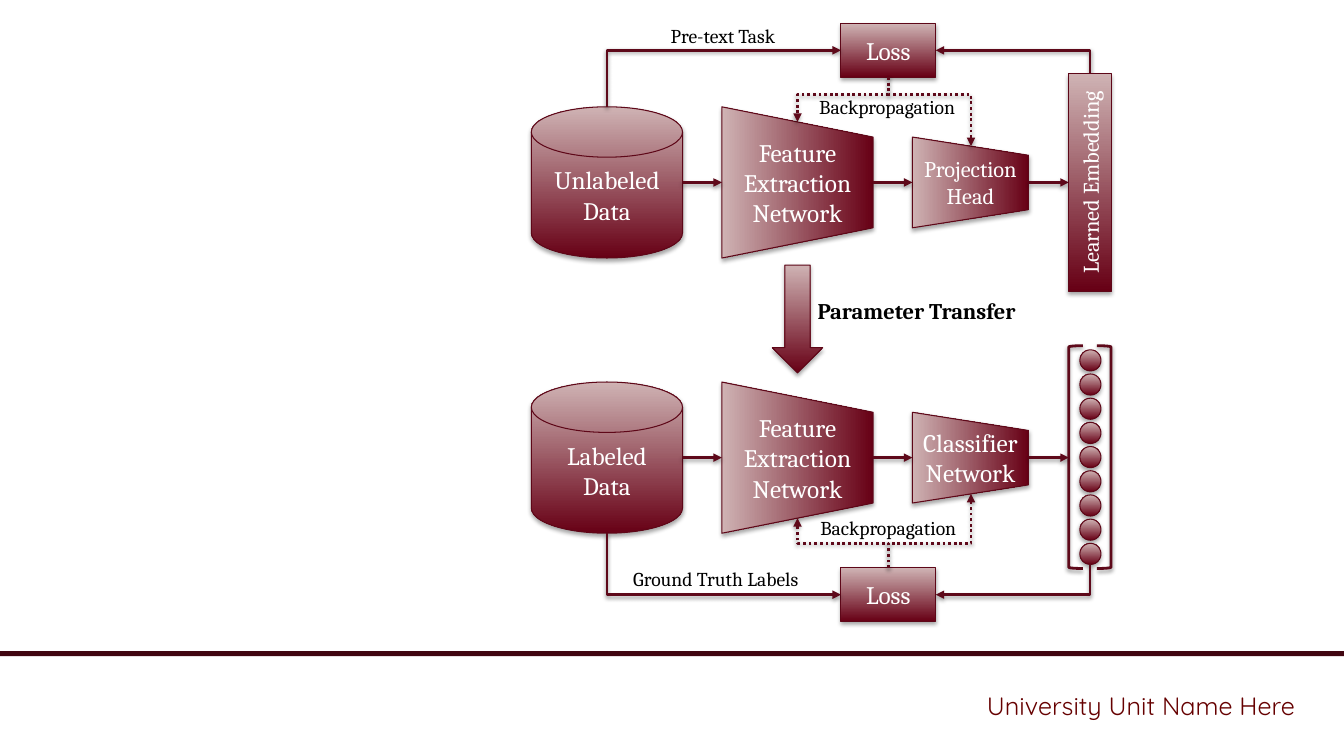
from dataclasses import dataclass

from lxml import etree
from pptx import Presentation
from pptx.dml.color import RGBColor
from pptx.enum.dml import MSO_LINE
from pptx.enum.shapes import MSO_CONNECTOR, MSO_SHAPE
from pptx.enum.text import MSO_ANCHOR, PP_ALIGN
from pptx.oxml.ns import qn
from pptx.util import Inches, Pt

RECT, DISK, OVAL = MSO_SHAPE.RECTANGLE, MSO_SHAPE.FLOWCHART_MAGNETIC_DISK, MSO_SHAPE.OVAL
TAPER, ARROW = MSO_SHAPE.FLOWCHART_MANUAL_OPERATION, MSO_SHAPE.DOWN_ARROW
BRACKET = MSO_SHAPE.LEFT_BRACKET
STRAIGHT, ELBOW = MSO_CONNECTOR.STRAIGHT, MSO_CONNECTOR.ELBOW
DOTS = MSO_LINE.ROUND_DOT
LEFT, CENTER, RIGHT = PP_ALIGN.LEFT, PP_ALIGN.CENTER, PP_ALIGN.RIGHT
MIDDLE = MSO_ANCHOR.MIDDLE


@dataclass(frozen=True)
class Theme:
    """Colours, fonts and type sizes of the slide."""
    dark: str = "670015"
    light: str = "CFB3B4"
    edge: str = "5E0718"
    wire: str = "5E091A"
    bar: str = "410611"
    unit: str = "660000"
    white: str = "FFFFFF"
    black: str = "000000"
    body: str = "Cambria"
    foot: str = "Quicksand"
    big: int = 18
    mid: int = 16
    small: int = 14


T = Theme()


def tint(code):
    """Turn a hex code into a colour."""
    return RGBColor.from_string(code)


def shade(item, alpha, dist):
    """Give an item a soft shadow that falls straight down."""
    props = item._element.spPr
    for old in props.findall(qn("a:effectLst")):
        props.remove(old)
    cast = etree.SubElement(etree.SubElement(props, qn("a:effectLst")), qn("a:outerShdw"),
                            blurRad=str(Pt(3.1)), dist=str(Pt(dist)), dir="5400000", rotWithShape="0")
    color = etree.SubElement(cast, qn("a:srgbClr"), val=T.black)
    etree.SubElement(color, qn("a:alpha"), val=str(alpha * 1000))


def write(item, text, size, color, align=CENTER, font=T.body, bold=None):
    """Put one paragraph of text into a shape."""
    frame = item.text_frame
    frame.word_wrap = True
    para = frame.paragraphs[0]
    para.text, para.alignment = text, align
    para.font.name, para.font.size, para.font.bold = font, Pt(size), bold
    para.font.color.rgb = tint(color)


def block(home, kind, box, text="", size=T.big, turn=0, flow=None):
    """Add a gradient shape with centred white text."""
    item = home.add_shape(kind, *map(Inches, box))
    item.rotation = turn
    item.fill.gradient()
    item.fill.gradient_angle = 90
    for stop, code in zip(item.fill.gradient_stops, (T.dark, T.light)):
        stop.color.rgb = tint(code)
    item.line.color.rgb, item.line.width = tint(T.edge), Pt(0.75)
    shade(item, 35, 1.8)
    if text:
        write(item, text, size, T.white)
        item.text_frame.vertical_anchor = MIDDLE
    if flow:
        item.text_frame._txBody.bodyPr.set("vert", flow)


def taper(home, x, mid, wide, tall, text, size=T.big):
    """Add a trapezoid that narrows to the right, centred on mid."""
    box = (x + (wide - tall) / 2, mid - wide / 2, tall, wide)
    block(home, TAPER, box, text, size, 270, "vert")


def label(home, box, text, size=T.small, color=T.black, **style):
    """Add a text box."""
    write(home.add_textbox(*map(Inches, box)), text, size, color, **style)


def ink(line, dash=None):
    """Style a connector as a dark red arrow."""
    line.line.color.rgb, line.line.width = tint(T.wire), Pt(2)
    if dash:
        line.line.dash_style = dash
    etree.SubElement(line.line._get_or_add_ln(), qn("a:tailEnd"), type="triangle")
    shade(line, 38, 1.6)


def link(home, x, y, end):
    """Add a level arrow."""
    ink(home.add_connector(STRAIGHT, *map(Inches, (x, y, end, y))))


def bend(home, start, end, bus=None):
    """Add an arrow that leaves vertically, dotted if it turns twice at height bus."""
    (x, y), (x2, y2) = start, end
    east, south = x2 > x, y2 > y
    wide, tall = abs(y2 - y) / 2, abs(x2 - x) / 2
    if east:
        wide = -wide
    if not south:
        tall = -tall
    cx, cy = (x + x2) / 2, (y + y2) / 2
    line = home.add_connector(ELBOW, *map(Inches, (cx - wide, cy - tall, cx + wide, cy + tall)))
    props = line._element.spPr
    props.find(qn("a:xfrm")).set("rot", "5400000" if east != south else "16200000")
    geom = props.find(qn("a:prstGeom"))
    if bus is None:
        geom.set("prst", "bentConnector2")
    else:
        ratio = round((bus - y) / (y2 - y) * 100000)
        etree.SubElement(geom.find(qn("a:avLst")), qn("a:gd"), name="adj1", fmla=f"val {ratio}")
    ink(line, DOTS if bus is not None else None)


def row(home, x, mid, side, data, head, size, gap, rail, tip):
    """Draw a data flow around mid, with its loss above (side -1) or below (side 1)."""
    loss, bus = mid + side * gap, mid + side * rail
    near = loss - side * 0.265
    block(home, DISK, (x, mid - 0.75, 1.5, 1.5), data)
    taper(home, x + 1.89, mid, 1.5, 1.5, "Feature Extraction Network")
    taper(home, x + 3.78, mid, 1.15, 0.9, head, size)
    block(home, RECT, (x + 3.07, loss - 0.265, 0.94, 0.53), "Loss")
    for left, right in ((1.5, 1.89), (3.39, 3.78), (4.94, 5.33)):
        link(home, x + left, mid, x + right)
    bend(home, (x + 0.75, mid + side * 0.75), (x + 3.07, loss))
    bend(home, (x + 5.54, tip), (x + 4.01, loss))
    for spot, edge in ((2.64, 0.6), (4.36, 0.36)):
        bend(home, (x + 3.54, near), (x + spot, mid + side * edge), bus)


def vector(home, x, y, tall, count=9):
    """Draw a bracketed column of circles."""
    group = home.add_group_shape().shapes
    for left, flip in ((x, "0"), (x + 0.28, "1")):
        item = group.add_shape(BRACKET, *map(Inches, (left, y, 0.14, tall)))
        item.fill.background()
        item.line.color.rgb, item.line.width = tint(T.wire), Pt(2)
        item._element.spPr.find(qn("a:xfrm")).set("flipH", flip)
        shade(item, 38, 1.6)
    for i in range(count):
        block(group, OVAL, (x + 0.11, y + 0.04 + 0.24 * i, 0.21, 0.21))


def transfer(home, x, y):
    """Draw the arrow between the two flows."""
    block(home, ARROW, (x, y, 0.5, 1.07))
    label(home, (x + 0.35, y + 0.27, 2.25, 0.37), "Parameter Transfer", T.mid, align=LEFT, bold=True)


def footer(home, y):
    """Draw the rule and the unit name."""
    bar = home.add_shape(RECT, *map(Inches, (0, y, 13.33, 0.05)))
    bar.shadow.inherit = False
    bar.fill.solid()
    bar.fill.fore_color.rgb = tint(T.bar)
    bar.line.fill.background()
    label(home, (7.89, y + 0.34, 5.05, 0.4), "University Unit Name Here", T.big, T.unit,
          align=RIGHT, font=T.foot)


def main():
    """Build and save the slide."""
    deck = Presentation()
    deck.slide_width, deck.slide_height = Inches(13.33), Inches(7.5)
    home = deck.slides.add_slide(deck.slide_layouts[6]).shapes
    footer(home, 6.46)
    row(home, 5.27, 1.81, -1, "Unlabeled Data", "Projection Head", T.mid, 1.31, 0.87, 0.73)
    block(home, RECT, (10.6, 0.73, 0.42, 2.16), "Learned Embedding", T.mid, flow="vert270")
    vector(home, 10.6, 3.43, 2.21)
    row(home, 5.27, 4.54, 1, "Labeled Data", "Classifier Network", T.big, 1.36, 0.85, 5.6)
    transfer(home, 7.66, 2.63)
    for x, y, text in ((6.1, 0.19, "Pre-text Task"), (7.73, 0.89, "Backpropagation"),
                       (7.74, 5.07, "Backpropagation"), (6.03, 5.58, "Ground Truth Labels")):
        label(home, (x, y, 2.14, 0.34), text)
    deck.save("out.pptx")


if __name__ == "__main__":
    main()
